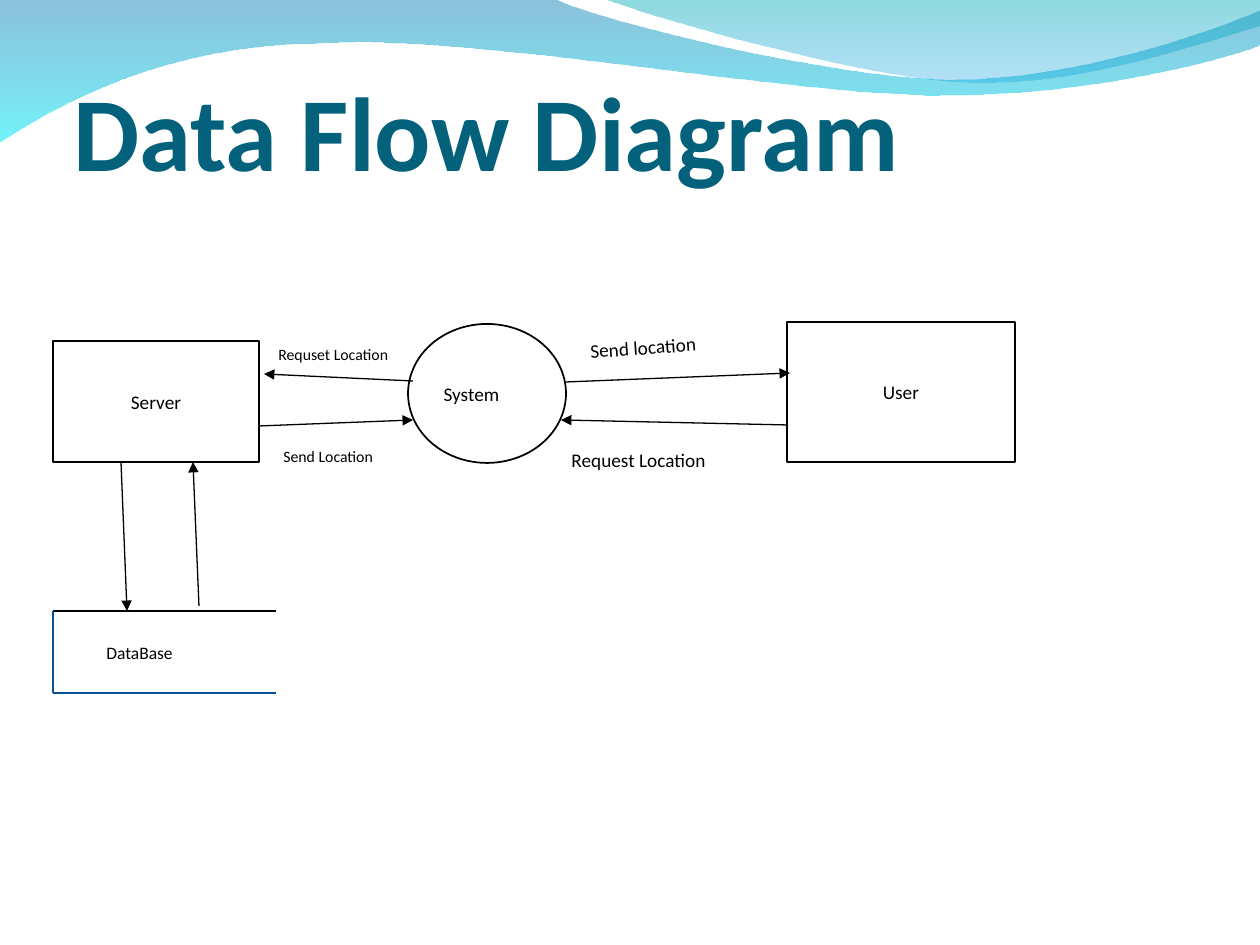
"""Build the data flow diagram slide."""
import dataclasses
import typing

import lxml.etree
import pptx
import pptx.dml.color
import pptx.enum.shapes
import pptx.enum.text
import pptx.oxml.ns
import pptx.util

EMU_PER_PX = 914400 / 126
SHAPES = pptx.enum.shapes.MSO_SHAPE
ANCHOR = pptx.enum.text.MSO_ANCHOR
ALIGN = pptx.enum.text.PP_ALIGN
Point = tuple[int, int]
Box = tuple[int, int, int, int]


@dataclasses.dataclass(frozen=True)
class Theme:
    font: str = "Calibri"
    title: str = "04617B"
    ink: str = "000000"
    paper: str = "FFFFFF"
    store: str = "065093"
    title_size: int = 60
    body_size: int = 11
    store_size: int = 10
    small_size: int = 9
    outline: float = 1
    hairline: float = 0.75


THEME = Theme()


@dataclasses.dataclass(frozen=True)
class Node:
    text: str
    box: Box
    kind: int = SHAPES.RECTANGLE
    size: int = THEME.body_size
    align: int = ALIGN.CENTER
    anchor: int = ANCHOR.MIDDLE
    line: str = THEME.ink
    width: float = THEME.outline
    rotation: int = 0


@dataclasses.dataclass(frozen=True)
class Link:
    start: Point
    end: Point
    color: str = THEME.ink
    arrow: bool = True


@dataclasses.dataclass(frozen=True)
class Wave:
    start: Point
    segments: tuple[tuple[Point, ...], ...]
    stops: tuple[tuple[str, int], ...]


def label(text: str, box: Box, size: int, rotation: int = 0) -> Node:
    return Node(text, box, size=size, align=ALIGN.LEFT, anchor=ANCHOR.TOP,
                line=THEME.paper, width=THEME.hairline, rotation=rotation)


WAVES = (
    Wave((0, -1),
         (((554, -1),),
          ((600, 21), (837, 79), (955, 79)),
          ((1075, 79), (1207, 33), (1260, 11)),
          ((1261, 45),),
          ((1239, 55), (1096, 96), (940, 95)),
          ((784, 95), (481, 35), (324, 43)),
          ((163, 44), (58, 105), (-1, 142))),
         (("0079AF", 45), ("00EBF8", 55))),
    Wave((604, -1),
         (((641, 14), (859, 78), (969, 82)),
          ((1079, 87), (1211, 40), (1260, 26)),
          ((1260, 0),)),
         (("00ADB6", 45), ("009BE5", 30))),
)
NODES = (
    Node("System", (408, 324, 158, 139), kind=SHAPES.OVAL, align=ALIGN.LEFT),
    Node("User", (787, 322, 228, 140)),
    Node("Server", (53, 341, 206, 121)),
    label("Request Location", (559, 442, 222, 52), THEME.body_size),
    label("Send location", (578, 328, 171, 44), THEME.body_size, 356),
    label("Requset Location", (266, 339, 145, 31), THEME.small_size),
    label("Send Location", (271, 441, 146, 32), THEME.small_size),
    label("DataBase", (94, 636, 146, 31), THEME.store_size),
)
LINKS = (
    Link((566, 382), (790, 373)),
    Link((788, 425), (561, 420)),
    Link((413, 381), (264, 374)),
    Link((259, 426), (413, 420)),
    Link((121, 462), (127, 611)),
    Link((199, 606), (193, 462)),
    Link((53, 611), (276, 611), arrow=False),
    Link((53, 611), (53, 693), THEME.store, False),
    Link((53, 693), (276, 693), THEME.store, False),
)


def px(value: float) -> int:
    return round(value * EMU_PER_PX)


def rgb(value: str) -> pptx.dml.color.RGBColor:
    return pptx.dml.color.RGBColor.from_string(value)


def apply(target: typing.Any, values: dict[str, typing.Any]) -> None:
    for name, value in values.items():
        setattr(target, name, value)


def add_child(parent: typing.Any, tag: str, **attributes: str) -> None:
    lxml.etree.SubElement(parent, pptx.oxml.ns.qn(tag), attributes)


def write_text(shape: typing.Any, text: str, frame: dict, size: int,
               color: str, align: int, bold: bool = False) -> None:
    apply(shape.text_frame, {"word_wrap": True, **frame})
    paragraph = shape.text_frame.paragraphs[0]
    paragraph.alignment = align
    run = paragraph.add_run()
    run.text = text
    apply(run.font, {"name": THEME.font, "size": pptx.util.Pt(size), "bold": bold})
    run.font.color.rgb = rgb(color)


def bend(shape: typing.Any, segments: tuple[tuple[Point, ...], ...]) -> None:
    lines = iter(list(shape._element.spPr.iter(pptx.oxml.ns.qn("a:lnTo"))))
    for segment in segments:
        first, *others = [next(lines) for _ in segment]
        if others:
            first.tag = pptx.oxml.ns.qn("a:cubicBezTo")
            for line in others:
                first.append(line[0])
                line.getparent().remove(line)


def draw_wave(slide: typing.Any, wave: Wave) -> None:
    builder = slide.shapes.build_freeform(*map(px, wave.start), 1.0)
    points = [(px(x), px(y)) for segment in wave.segments for x, y in segment]
    builder.add_line_segments(points, close=True)
    shape = builder.convert_to_shape()
    bend(shape, wave.segments)
    shape.shadow.inherit = False
    shape.line.fill.background()
    shape.fill.gradient()
    shape.fill.gradient_angle = 270
    for stop, (color, _) in zip(shape.fill.gradient_stops, wave.stops):
        stop.color.rgb = rgb(color)
    colors = shape._element.spPr.iter(pptx.oxml.ns.qn("a:srgbClr"))
    for element, (_, opacity) in zip(list(colors), wave.stops):
        add_child(element, "a:alpha", val=str(opacity * 1000))


def draw_title(slide: typing.Any, text: str, box: Box) -> None:
    shape = slide.shapes.add_textbox(*map(px, box))
    frame = {"margin_left": 0, "margin_right": 0, "margin_bottom": 0,
             "vertical_anchor": ANCHOR.BOTTOM}
    write_text(shape, text, frame, THEME.title_size, THEME.title, ALIGN.LEFT, True)


def draw_node(group: typing.Any, node: Node) -> None:
    shape = group.shapes.add_shape(node.kind, *map(px, node.box))
    shape.shadow.inherit = False
    shape.rotation = node.rotation
    shape.fill.solid()
    shape.fill.fore_color.rgb = rgb(THEME.paper)
    shape.line.color.rgb = rgb(node.line)
    shape.line.width = pptx.util.Pt(node.width)
    write_text(shape, node.text, {"vertical_anchor": node.anchor},
               node.size, THEME.ink, node.align)


def draw_link(group: typing.Any, link: Link) -> None:
    connector = group.shapes.add_connector(
        pptx.enum.shapes.MSO_CONNECTOR.STRAIGHT, *map(px, link.start + link.end))
    connector.line.color.rgb = rgb(link.color)
    connector.line.width = pptx.util.Pt(THEME.hairline)
    if link.arrow:
        add_child(connector.line._get_or_add_ln(), "a:tailEnd", type="triangle")
    add_child(connector._element.spPr, "a:effectLst")


def main() -> None:
    presentation = pptx.Presentation()
    apply(presentation, {"slide_width": px(1260), "slide_height": px(945)})
    slide = presentation.slides.add_slide(presentation.slide_layouts[6])
    for wave in WAVES:
        draw_wave(slide, wave)
    draw_title(slide, "Data Flow Diagram", (73, 11, 1125, 181))
    diagram = slide.shapes.add_group_shape()
    for node in NODES:
        draw_node(diagram, node)
    for link in LINKS:
        draw_link(diagram, link)
    presentation.save("out.pptx")


if __name__ == "__main__":
    main()
